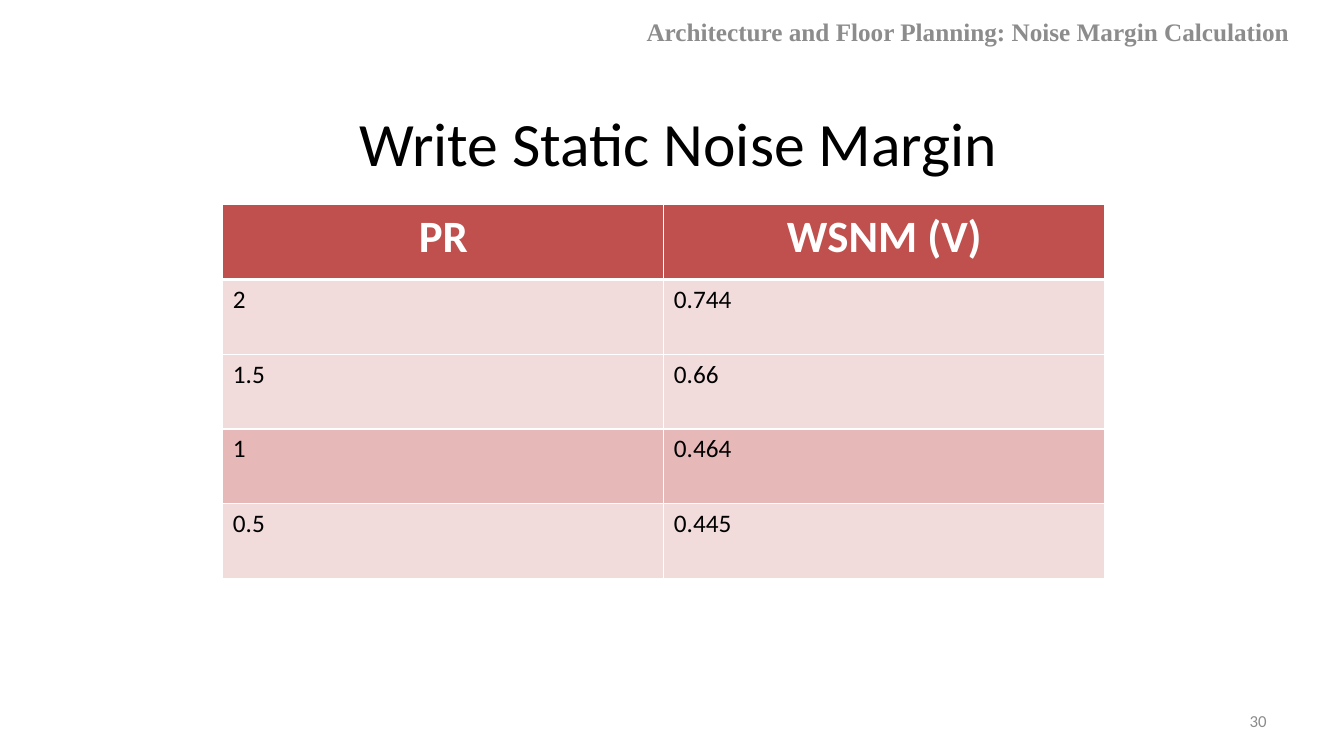
from lxml import etree
from pptx import Presentation
from pptx.dml.color import RGBColor
from pptx.enum.text import MSO_ANCHOR as Anchor, PP_ALIGN as Align
from pptx.oxml.ns import qn
from pptx.util import Inches, Pt

WHITE, BLACK, GREY = "FFFFFF", "000000", "8C8C8C"
HEAD, LIGHT, DARK = "C0504D", "F2DCDB", "E6B9B8"
ROWS = [
    ("PR", "WSNM (V)"),
    ("2", "0.744"),
    ("1.5", "0.66"),
    ("1", "0.464"),
    ("0.5", "0.445"),
]
ROW_FILLS = [HEAD, LIGHT, LIGHT, DARK, LIGHT]


def rgb(color):
    return RGBColor.from_string(color)


def write(tf, text, size, color, align, font="Calibri", bold=False):
    tf.text = text
    p = tf.paragraphs[0]
    p.alignment = align
    f = p.runs[0].font
    f.name, f.size, f.bold = font, Pt(size), bold
    f.color.rgb = rgb(color)


def add_title(slide, box, text):
    sp = slide.shapes.title
    sp.left, sp.top, sp.width, sp.height = map(Inches, box)
    sp.text_frame.vertical_anchor = Anchor.MIDDLE
    write(sp.text_frame, text, 44, BLACK, Align.CENTER)


def add_label(slide, box, text, size, align, **style):
    tf = slide.shapes.add_textbox(*map(Inches, box)).text_frame
    tf.word_wrap = True
    tf.vertical_anchor = Anchor.MIDDLE
    write(tf, text, size, GREY, align, **style)


def set_borders(cell, top, bottom):
    tcPr = cell._tc.get_or_add_tcPr()
    for tag, width in (("a:lnL", 1), ("a:lnR", 1), ("a:lnT", top), ("a:lnB", bottom)):
        ln = etree.SubElement(tcPr, qn(tag), w=str(Pt(width)))
        fill = etree.SubElement(ln, qn("a:solidFill"))
        etree.SubElement(fill, qn("a:srgbClr"), val=WHITE)


def add_margin_table(slide, box):
    shape = slide.shapes.add_table(len(ROWS), len(ROWS[0]), *map(Inches, box))
    table = shape.table
    for i, values in enumerate(ROWS):
        header = i == 0
        for j, value in enumerate(values):
            cell = table.cell(i, j)
            # Borders precede the fill in the cell properties
            set_borders(cell, 3 if i == 1 else 1, 3 if header else 1)
            cell.fill.solid()
            cell.fill.fore_color.rgb = rgb(ROW_FILLS[i])
            write(cell.text_frame, value, 32 if header else 18,
                  WHITE if header else BLACK,
                  Align.CENTER if header else Align.LEFT, bold=header)


def main():
    prs = Presentation()
    prs.slide_width, prs.slide_height = Inches(13.33), Inches(7.5)
    slide = prs.slides.add_slide(prs.slide_layouts[5])

    # Title and results
    add_title(slide, (0.73, 0.78, 12, 1.25), "Write Static Noise Margin")
    add_margin_table(slide, (2.21, 2.03, 8.75, 3.71))

    # Running header and page number
    add_label(slide, (6.12, 0, 6.96, 0.62),
              "Architecture and Floor Planning: Noise Margin Calculation",
              18, Align.CENTER, font="Times New Roman", bold=True)
    add_label(slide, (9.55, 6.95, 3.11, 0.4), "30", 12, Align.RIGHT)

    prs.save("out.pptx")


if __name__ == "__main__":
    main()
